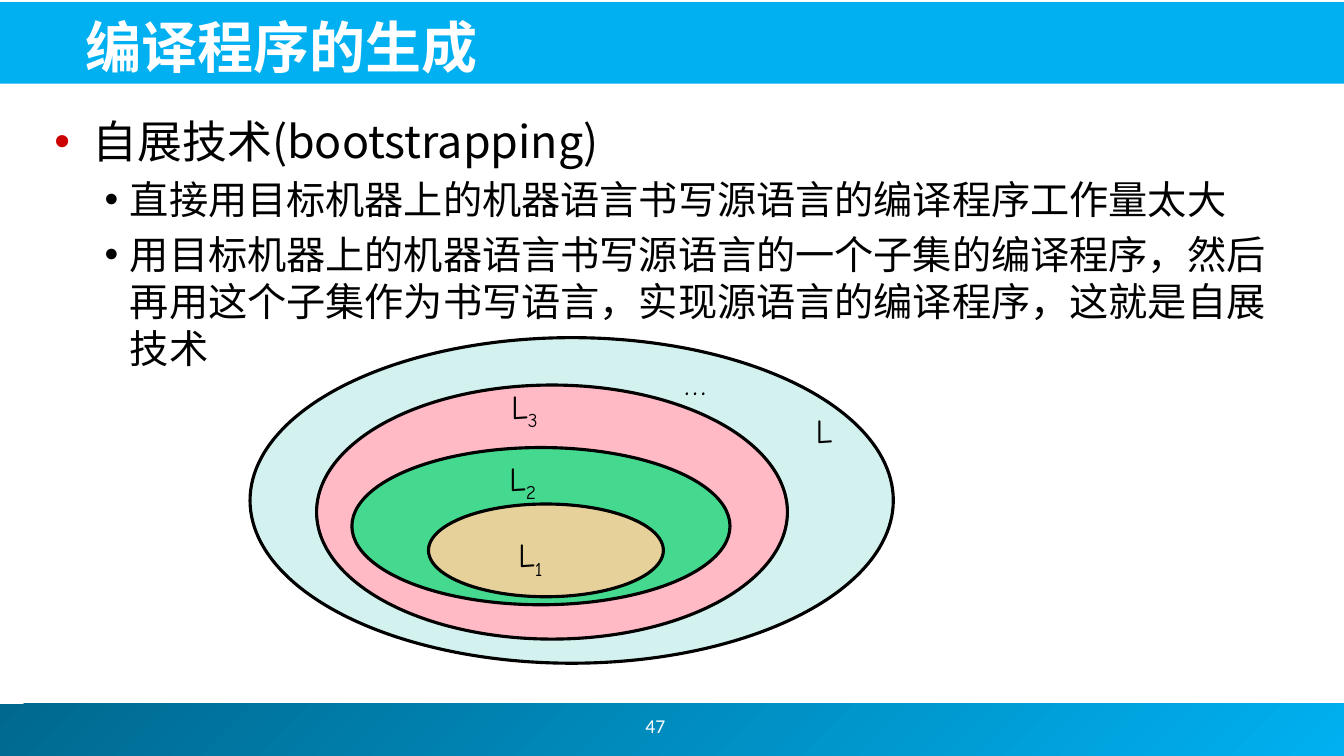
from lxml import etree
from pptx import Presentation
from pptx.dml.color import RGBColor
from pptx.enum.shapes import MSO_SHAPE
from pptx.enum.text import MSO_ANCHOR, MSO_AUTO_SIZE, PP_ALIGN
from pptx.oxml.ns import qn
from pptx.util import Inches, Pt

RECTANGLE, OVAL = MSO_SHAPE.RECTANGLE, MSO_SHAPE.OVAL
TOP, MIDDLE, BOTTOM = MSO_ANCHOR.TOP, MSO_ANCHOR.MIDDLE, MSO_ANCHOR.BOTTOM
LEFT, CENTER = PP_ALIGN.LEFT, PP_ALIGN.CENTER
NO_AUTOFIT = MSO_AUTO_SIZE.NONE
TITLE_ONLY = 5

COLORS = {
    "white": "FFFFFF", "black": "000000", "bullet": "CC0000",
    "band": "00B0F0", "footer_dark": "00688E",
    "L": "D3F2EF", "L3": "FFBAC6", "L2": "45D990", "L1": "E7D19A",
}
CJK_FONT, LABEL_FONT, NUMBER_FONT = "Noto Sans CJK JP", "Comic Neue", "Calibri"

# Level, size, left margin, hanging indent, bullet color, text
BULLETS = [
    (0, 32, 0.38, 0.38, "bullet", "自展技术(bootstrapping)"),
    (1, 28, 0.75, 0.25, "black",
     "直接用目标机器上的机器语言书写源语言的编译程序工作量太大"),
    (1, 28, 0.75, 0.25, "black",
     "用目标机器上的机器语言书写源语言的一个子集的编译程序，"
     "然后再用这个子集作为书写语言，实现源语言的编译程序，这就是自展技术"),
]

# Ellipses and labels, as offsets from the diagram's corner
LANGUAGE_SETS = [
    ("L3", (0.66, 0.47, 4.67, 2.52)),
    ("L2", (1.01, 1.09, 3.75, 1.56)),
    ("L1", (1.77, 1.65, 2.33, 0.92)),
]
SET_LABELS = [
    ("L", "2", (2.47, 1.14, 0.72, 0.5)),
    ("L", "3", (2.49, 0.43, 0.62, 0.5)),
    ("L", "1", (2.56, 1.9, 0.88, 0.5)),
    ("", "…", (4.21, -0.17, 0.88, 0.55)),
    ("L", "", (5.51, 0.67, 0.62, 0.5)),
]


def color(name):
    return RGBColor.from_string(COLORS[name])


def place(box):
    return [Inches(value) for value in box]


def style_run(run, font_name, size, color_name, bold=False):
    run.font.name = font_name
    run.font.size = Pt(size)
    run.font.bold = bold
    run.font.color.rgb = color(color_name)
    east_asian = etree.SubElement(run.font._element, qn("a:ea"))
    east_asian.set("typeface", font_name)


def add_text_box(slide, box, anchor=TOP):
    frame = slide.shapes.add_textbox(*place(box)).text_frame
    frame.word_wrap = True
    frame.vertical_anchor = anchor
    return frame


def add_filled_shape(slide, kind, box, fill, line=None):
    shape = slide.shapes.add_shape(kind, *place(box))
    shape.shadow.inherit = False
    shape.fill.solid()
    shape.fill.fore_color.rgb = color(fill)
    if line:
        shape.line.color.rgb = color(line)
        shape.line.width = Pt(2.25)
    else:
        shape.line.fill.background()
    return shape


def add_footer(slide, box, number):
    bar = add_filled_shape(slide, RECTANGLE, box, "band")
    bar.fill.gradient()
    bar.fill.gradient_angle = 315
    for stop, name in zip(bar.fill.gradient_stops, ("footer_dark", "band")):
        stop.color.rgb = color(name)
    left, top = box[:2]
    frame = add_text_box(slide, (left + 5.25, top - 0.03, 2.6, 0.5), MIDDLE)
    frame.text = number
    paragraph = frame.paragraphs[0]
    paragraph.alignment = CENTER
    style_run(paragraph.runs[0], NUMBER_FONT, 14, "white")


def add_header(slide, box, text):
    band = add_filled_shape(slide, RECTANGLE, box, "band")
    title = slide.shapes.title
    band._element.addnext(title._element)  # keep the title above its band
    left, top = box[:2]
    title.left, title.top, title.width, title.height = place(
        (left + 0.77, top + 0.03, 12.14, 0.79))
    frame = title.text_frame
    frame.text = text
    frame.auto_size = NO_AUTOFIT
    frame.vertical_anchor = BOTTOM
    frame.paragraphs[0].alignment = LEFT
    style_run(frame.paragraphs[0].runs[0], CJK_FONT, 40, "white", bold=True)


def set_bullet(paragraph, margin, hanging, color_name):
    properties = paragraph._p.get_or_add_pPr()
    properties.set("marL", str(Inches(margin)))
    properties.set("indent", str(-Inches(hanging)))
    bullet_color = etree.SubElement(properties, qn("a:buClr"))
    etree.SubElement(bullet_color, qn("a:srgbClr")).set("val", COLORS[color_name])
    etree.SubElement(properties, qn("a:buFont")).set("typeface", "Arial")
    etree.SubElement(properties, qn("a:buChar")).set("char", "•")


def add_bullets(slide, box):
    frame = add_text_box(slide, box)
    for index, (level, size, margin, hanging, bullet, text) in enumerate(BULLETS):
        paragraph = frame.add_paragraph() if index else frame.paragraphs[0]
        paragraph.text = text
        paragraph.level = level
        set_bullet(paragraph, margin, hanging, bullet)
        if index:
            paragraph.space_before = Pt(size * 0.2)
        style_run(paragraph.runs[0], CJK_FONT, size, "black")


def add_language_sets(slide, box):
    left, top = box[:2]
    for name, (x, y, width, height) in LANGUAGE_SETS:
        add_filled_shape(slide, OVAL, (left + x, top + y, width, height),
                         name, "black")
    for base, subscript, (x, y, width, height) in SET_LABELS:
        frame = add_text_box(slide, (left + x, top + y, width, height))
        paragraph = frame.paragraphs[0]
        if base:
            run = paragraph.add_run()
            run.text = base
            style_run(run, LABEL_FONT, 24, "black")
        if subscript:
            run = paragraph.add_run()
            run.text = subscript
            style_run(run, LABEL_FONT, 24 if base else 40, "black")
            run.font._element.set("baseline", "-25000")


def main():
    presentation = Presentation()
    presentation.slide_width = Inches(13.33)
    presentation.slide_height = Inches(7.5)
    slide = presentation.slides.add_slide(presentation.slide_layouts[TITLE_ONLY])
    diagram = (2.48, 3.35, 6.38, 3.23)

    add_footer(slide, (-0.05, 6.98, 13.39, 0.52), "47")
    add_header(slide, (-0.02, 0.02, 13.36, 0.81), "编译程序的生成")
    # The outermost language lies behind the bullet text
    add_filled_shape(slide, OVAL, diagram, "L", "black")
    add_bullets(slide, (0.44, 1.08, 12.44, 5.44))
    add_language_sets(slide, diagram)
    presentation.save("out.pptx")


if __name__ == "__main__":
    main()
